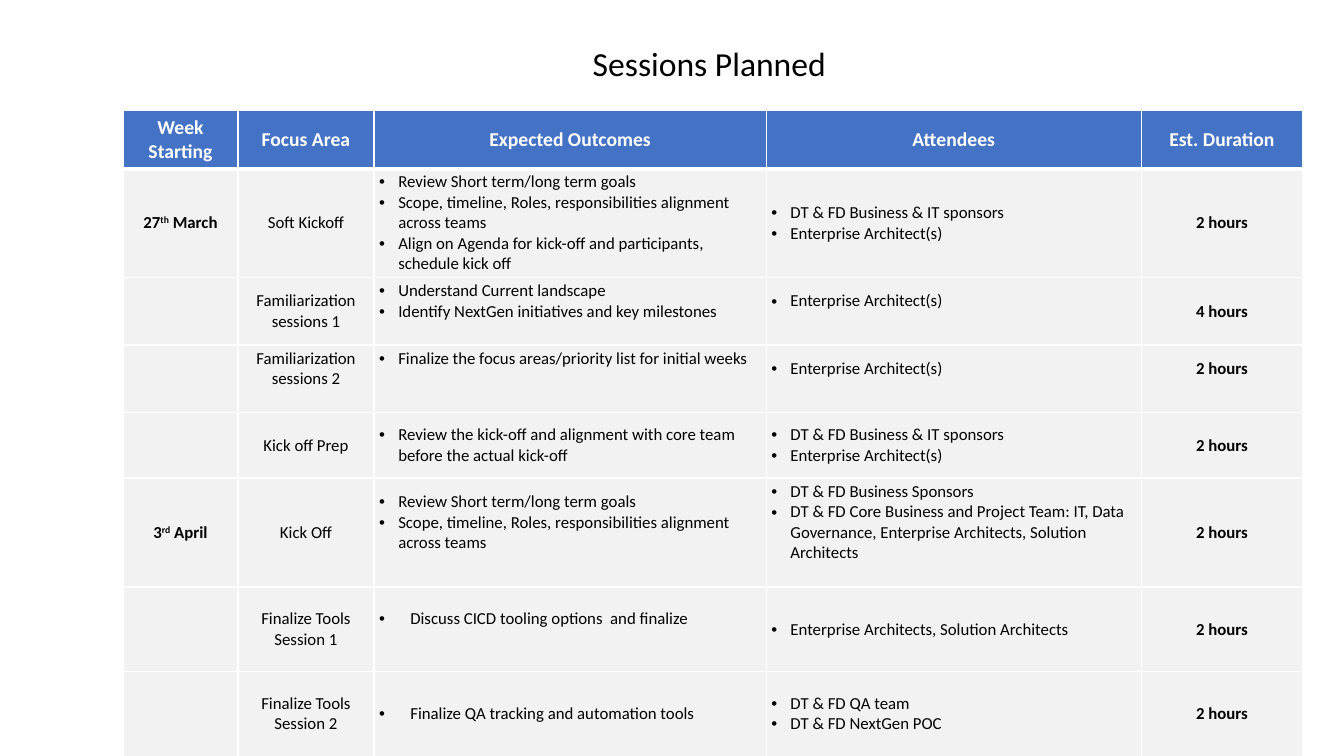
from lxml import etree
from pptx import Presentation
from pptx.dml.color import RGBColor
from pptx.enum.text import MSO_ANCHOR, PP_ALIGN
from pptx.oxml.ns import qn
from pptx.util import Inches, Pt


def color(value):
    return RGBColor.from_string(value)


def add_borders(cell, bottom):
    tcPr = cell._tc.get_or_add_tcPr()
    for i, (side, width) in enumerate([("lnL", 1), ("lnR", 1), ("lnT", 1), ("lnB", bottom)]):
        ln = etree.Element(qn("a:" + side), w=str(Pt(width)))
        fill = etree.SubElement(ln, qn("a:solidFill"))
        etree.SubElement(fill, qn("a:srgbClr"), val="FFFFFF")
        tcPr.insert(i, ln)


prs = Presentation()
prs.slide_width, prs.slide_height = Inches(13.33), Inches(7.5)
s = prs.slides.add_slide(prs.slide_layouts[5])

title = s.shapes.title
title.left, title.top = Inches(1.22), Inches(0.39)
title.width, title.height = Inches(11.63), Inches(0.53)
tf = title.text_frame
tf.text = "Sessions Planned"
tf.vertical_anchor = MSO_ANCHOR.MIDDLE
p = tf.paragraphs[0]
p.alignment = PP_ALIGN.CENTER
p.line_spacing = 0.9
font = p.runs[0].font
font.name, font.size, font.color.rgb = "Calibri", Pt(24), color("000000")

goals = "Review Short term/long term goals"
scope = "Scope, timeline, Roles, responsibilities alignment across teams"
sponsors = "DT & FD Business & IT sponsors"
architects = "Enterprise Architect(s)"
rows = [
    ["Week Starting", "Focus Area", "Expected Outcomes", "Attendees", "Est. Duration"],
    ["27^th^ March", "Soft Kickoff",
     f"{goals}\n{scope}\nAlign on Agenda for kick-off and participants, schedule kick off",
     f"{sponsors}\n{architects}", "2 hours"],
    ["", "Familiarization sessions 1",
     "Understand Current landscape\nIdentify NextGen initiatives and key milestones",
     architects, "4 hours"],
    ["", "Familiarization sessions 2",
     "Finalize the focus areas/priority list for initial weeks", architects, "2 hours"],
    ["", "Kick off Prep",
     "Review the kick-off and alignment with core team before the actual kick-off",
     f"{sponsors}\n{architects}", "2 hours"],
    ["3^rd^ April", "Kick Off", f"{goals}\n{scope}",
     "DT & FD Business Sponsors\nDT & FD Core Business and Project Team: IT, Data Governance, "
     "Enterprise Architects, Solution Architects", "2 hours"],
    ["", "Finalize Tools\nSession 1", "Discuss CICD tooling options  and finalize",
     "Enterprise Architects, Solution Architects", "2 hours"],
    ["", "Finalize Tools\nSession 2", "Finalize QA tracking and automation tools",
     "DT & FD QA team\nDT & FD NextGen POC", "2 hours"],
]
widths = [1.14, 1.35, 3.89, 3.72, 1.6]
heights = [0.57, 1.08, 0.67, 0.67, 0.65, 1.08, 0.84, 0.84]
raised_lines = {(2, 2): 1, (2, 3): 1, (3, 1): 1, (3, 2): 2, (3, 3): 1, (3, 4): 1,
                (5, 2): 1, (5, 3): 1, (6, 2): 1}

frame = s.shapes.add_table(len(rows), len(widths), Inches(1.22), Inches(1.1),
                           Inches(sum(widths)), Inches(sum(heights)))
table = frame.table
table.horz_banding = False
for column, width in zip(table.columns, widths):
    column.width = Inches(width)
for row, height in zip(table.rows, heights):
    row.height = Inches(height)

for i, row in enumerate(rows):
    header = i == 0
    for j, text in enumerate(row):
        cell = table.cell(i, j)
        cell.fill.solid()
        cell.fill.fore_color.rgb = color("4472C4" if header else "F2F2F2")
        add_borders(cell, 3 if header else 1)
        cell.vertical_anchor = MSO_ANCHOR.MIDDLE
        if not header:
            cell.margin_left = cell.margin_right = Inches(0.05)
            cell.margin_top = Inches(0.03)
            cell.margin_bottom = Inches(0.03 + 0.2 * raised_lines.get((i, j), 0))
        if not text:
            continue
        tf = cell.text_frame
        for k, line in enumerate(text.split("\n")):
            p = tf.paragraphs[0] if k == 0 else tf.add_paragraph()
            if not header and j in (2, 3):
                indent = Inches(0.31 if j == 2 and i >= 6 else 0.19)
                pPr = p._p.get_or_add_pPr()
                pPr.set("marL", str(indent))
                pPr.set("indent", str(-indent))
                etree.SubElement(pPr, qn("a:buFont"), typeface="Arial")
                etree.SubElement(pPr, qn("a:buChar"), char="•")
            else:
                p.alignment = PP_ALIGN.CENTER
            for n, part in enumerate(line.split("^")):
                r = p.add_run()
                r.text = part
                r.font.name = "Calibri"
                r.font.size = Pt(14 if header else 12)
                r.font.bold = header or j in (0, 4)
                r.font.color.rgb = color("FFFFFF" if header else "000000")
                if n == 1:
                    r._r.get_or_add_rPr().set("baseline", "30000")

prs.save("out.pptx")
